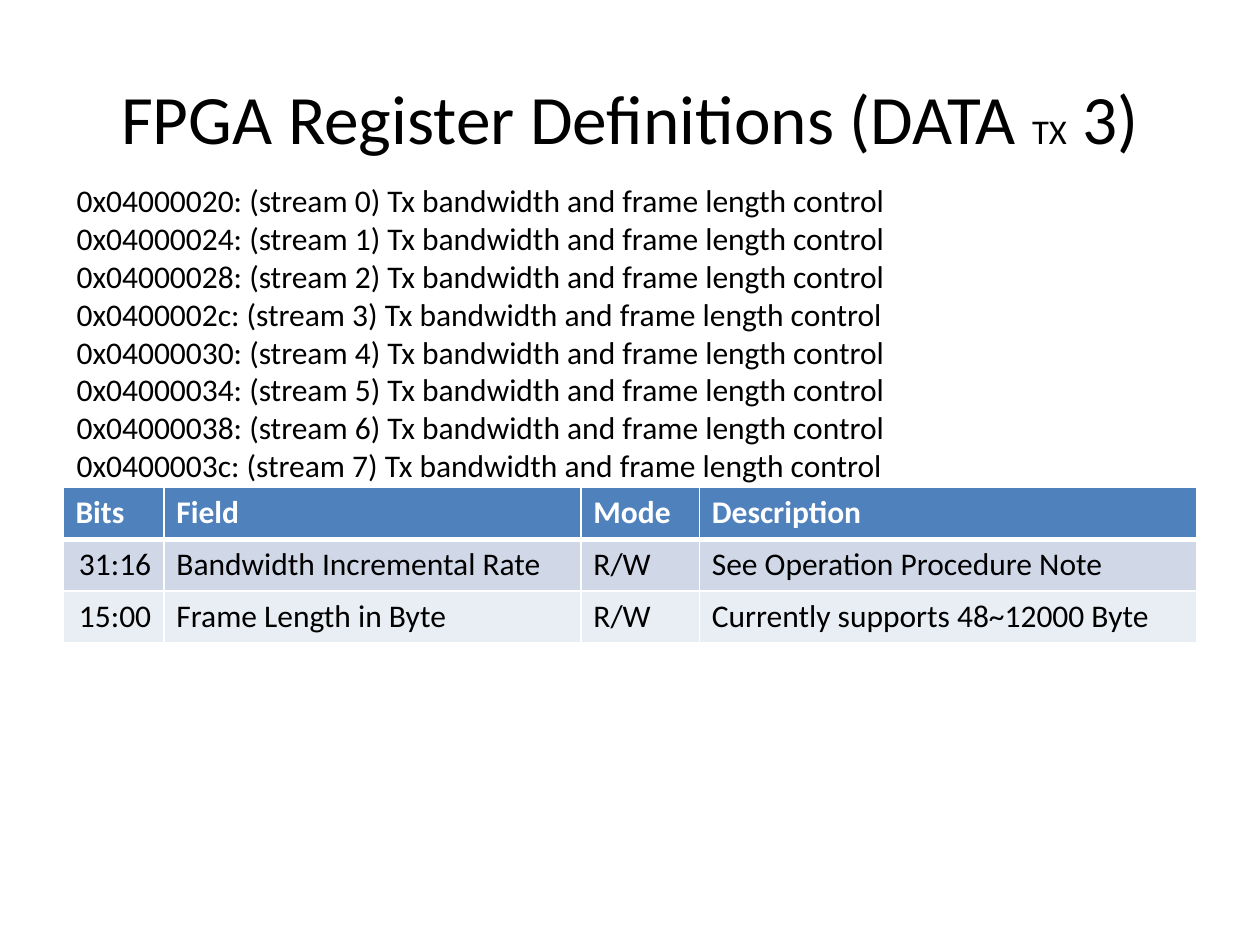
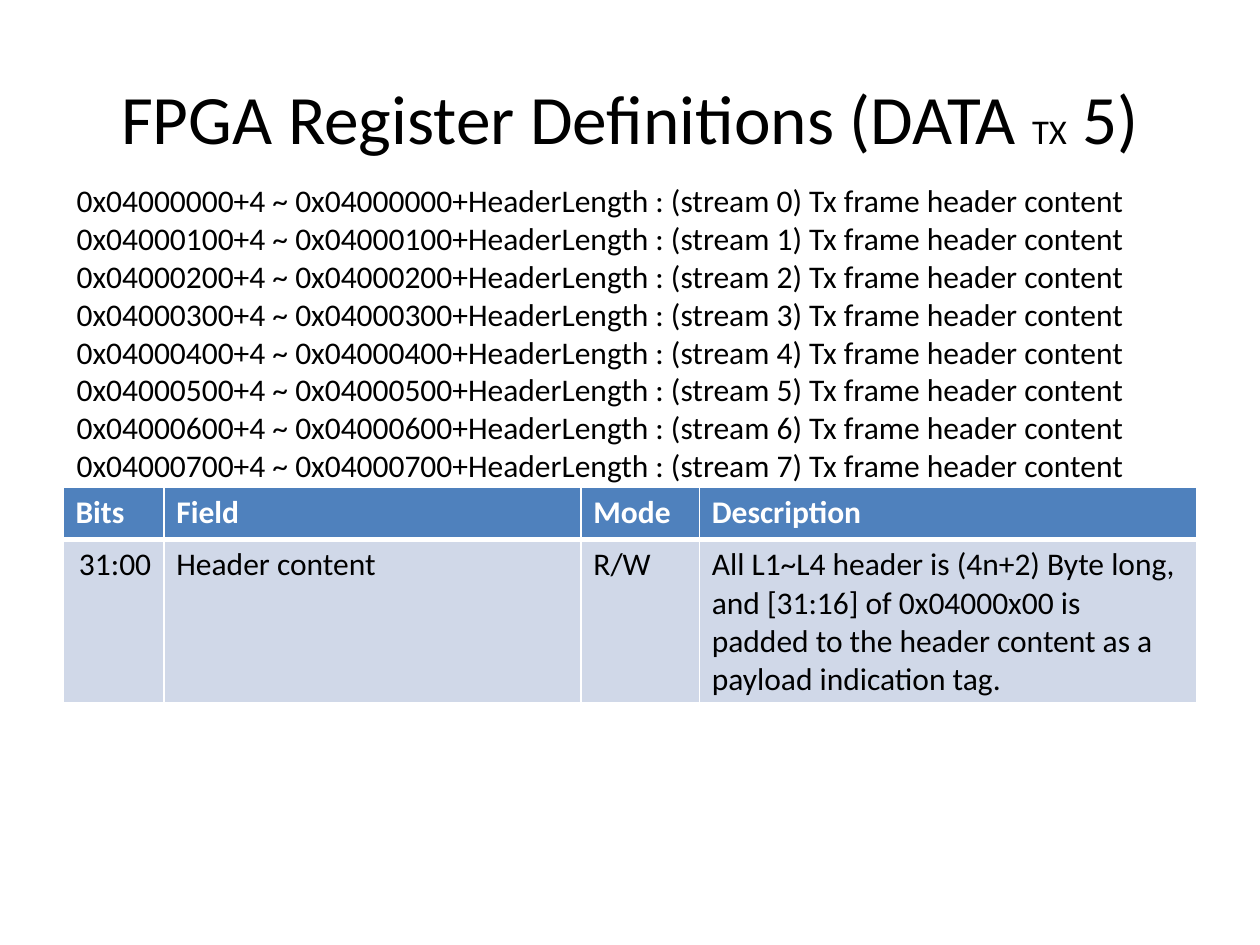
import pptx
import pptx.util
import pptx.dml.color
import pptx.enum.text
import pptx.oxml
import pptx.oxml.ns

Inches = pptx.util.Inches
Pt = pptx.util.Pt
RGB = pptx.dml.color.RGBColor
Align = pptx.enum.text.PP_ALIGN

BLACK = RGB(0x00, 0x00, 0x00)
WHITE = RGB(0xFF, 0xFF, 0xFF)
BLUE = RGB(0x4F, 0x81, 0xBD)
BANDS = [RGB(0xD0, 0xD8, 0xE8), RGB(0xE9, 0xED, 0xF4)]
FONT = "Calibri"
HEADS = ["Bits", "Field", "Mode", "Description"]
WIDTHS = [0.8, 3.31, 0.94, 3.95]
HEIGHT = 0.41


def write(para, text, size=18, color=BLACK, bold=False):
    run = para.add_run()
    run.text = text
    style = {"name": FONT, "size": Pt(size), "bold": bold}
    for key, value in style.items():
        setattr(run.font, key, value)
    run.font.color.rgb = color


def edge(cell, side, width):
    cell._tc.get_or_add_tcPr().append(pptx.oxml.parse_xml(
        f'<a:{side} {pptx.oxml.ns.nsdecls("a")} w="{Pt(width)}">'
        f'<a:solidFill><a:srgbClr val="{WHITE}"/></a:solidFill></a:{side}>'))


# What differs from slide to slide
pages = [
    {
        "number": 3,
        "width": 6.69,
        "lines": [f"0x{0x04000020 + 4 * n:08x}: (stream {n}) "
                  "Tx bandwidth and frame length control" for n in range(8)],
        "rows": [
            ["31:16", "Bandwidth Incremental Rate", "R/W",
             "See Operation Procedure Note"],
            ["15:00", "Frame Length in Byte", "R/W",
             "Currently supports 48~12000 Byte"],
        ],
        "height": HEIGHT,
    },
    {
        "number": 5,
        "width": 8.55,
        "lines": [f"0x04000{n}00+4 ~ 0x04000{n}00+HeaderLength : "
                  f"(stream {n}) Tx frame header content" for n in range(8)],
        "rows": [
            ["31:00", "Header content", "R/W",
             "All L1~L4 header is (4n+2) Byte long, and [31:16] of 0x04000x00 "
             "is padded to the header content as a payload indication tag."],
        ],
        "height": 1.3,
    },
]

deck = pptx.Presentation()
deck.slide_width = Inches(10)
deck.slide_height = Inches(7.5)

for page in pages:
    slide = deck.slides.add_slide(deck.slide_layouts[6])

    # Title
    frame = slide.shapes.add_textbox(
        Inches(0.5), Inches(0.3), Inches(9), Inches(1.25)).text_frame
    frame.word_wrap = True
    frame.vertical_anchor = pptx.enum.text.MSO_ANCHOR.MIDDLE
    para = frame.paragraphs[0]
    para.alignment = Align.CENTER
    write(para, "FPGA Register Definitions (DATA ", 39.6)
    write(para, "TX", 19.8)
    write(para, f" {page['number']})", 39.6)

    # Register table
    rows = [HEADS] + page["rows"]
    heights = [HEIGHT] + [page["height"]] * len(page["rows"])
    table = slide.shapes.add_table(
        len(rows), len(HEADS), Inches(0.5), Inches(3.87),
        Inches(sum(WIDTHS)), Inches(sum(heights))).table
    for col, width in zip(table.columns, WIDTHS):
        col.width = Inches(width)
    for r, (row, height) in enumerate(zip(rows, heights)):
        table.rows[r].height = Inches(height)
        head = r == 0
        for c, text in enumerate(row):
            cell = table.cell(r, c)
            # The rule under the heading is thicker than the others
            edges = {"lnL": 1, "lnR": 1, "lnT": 3 if r == 1 else 1,
                     "lnB": 3 if head else 1}
            for side, weight in edges.items():
                edge(cell, side, weight)
            cell.fill.solid()
            cell.fill.fore_color.rgb = BLUE if head else BANDS[(r - 1) % 2]
            para = cell.text_frame.paragraphs[0]
            if c == 0 and not head:
                para.alignment = Align.RIGHT
            write(para, text, color=WHITE if head else BLACK, bold=head)

    # Address list
    frame = slide.shapes.add_textbox(
        Inches(0.51), Inches(1.39), Inches(page["width"]), Inches(2.52)).text_frame
    frame.word_wrap = False
    frame.auto_size = pptx.enum.text.MSO_AUTO_SIZE.SHAPE_TO_FIT_TEXT
    for i, line in enumerate(page["lines"]):
        para = frame.add_paragraph() if i else frame.paragraphs[0]
        write(para, line)

deck.save("out.pptx")
